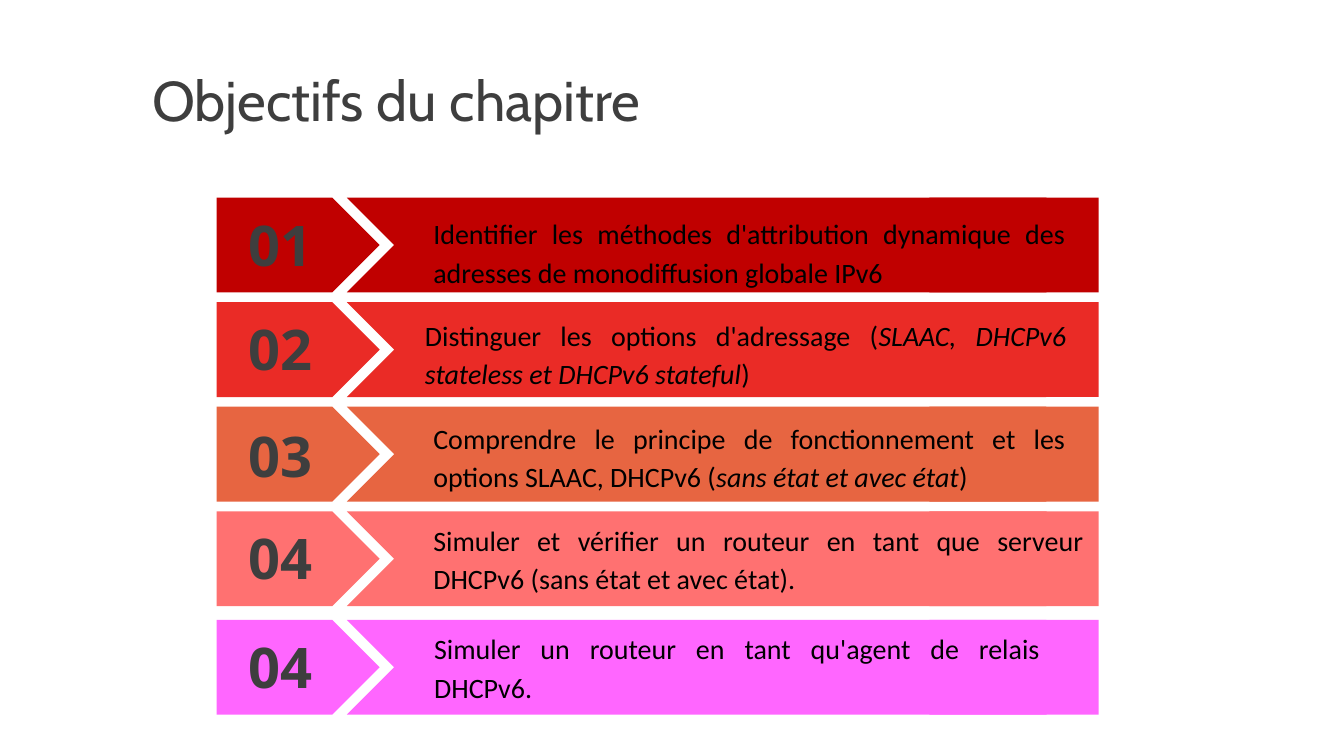
from dataclasses import dataclass

from pptx import Presentation
from pptx.dml.color import RGBColor
from pptx.enum.shapes import MSO_SHAPE as Preset
from pptx.enum.text import MSO_ANCHOR as Anchor
from pptx.enum.text import MSO_AUTO_SIZE as AutoSize
from pptx.enum.text import PP_ALIGN as Align
from pptx.util import Cm, Pt

COLORS = {
    "heading": "3E3E3E",
    "text": "000000",
    "crimson": "C00000",
    "red": "EA2B26",
    "orange": "E76541",
    "salmon": "FF7171",
    "magenta": "FF66FF",
}
BANNER_HEIGHT = 2.39
FIRST_TOP = 4.98
ROW_PITCH = 2.635
LAST_ROW_GAP = 0.1


@dataclass
class Objective:
    """Lengths are in cm; text pieces alternate between upright and italic."""
    number: str
    color: str
    number_top: float
    text_left: float
    text_top: float
    text_width: float
    pieces: tuple


OBJECTIVES = [
    Objective("01", "crimson", 5.18, 10.67, 5.21, 16.43, (
        "Identifier les méthodes d'attribution dynamique des "
        "adresses de monodiffusion globale IPv6",)),
    Objective("02", "red", 7.8, 10.46, 7.77, 16.66, (
        "Distinguer les options d'adressage (",
        "SLAAC, DHCPv6 stateless et DHCPv6 stateful", ")")),
    Objective("03", "orange", 10.49, 10.67, 10.36, 16.43, (
        "Comprendre le principe de fonctionnement et les "
        "options SLAAC, DHCPv6 (", "sans état et avec état", ")")),
    Objective("04", "salmon", 13.08, 10.67, 12.93, 16.89, (
        "Simuler et vérifier un routeur en tant que serveur "
        "DHCPv6 (sans état et avec état).",)),
    Objective("04", "magenta", 15.82, 10.69, 15.67, 15.77, (
        "Simuler un routeur en tant qu'agent de relais DHCPv6.",)),
]


def rgb(name):
    return RGBColor.from_string(COLORS[name])


def set_font(paragraph, name, size, color, bold=False):
    font = paragraph.font
    font.name, font.size, font.bold = name, Pt(size), bold
    font.color.rgb = rgb(color)


def add_title(slide, text):
    title = slide.shapes.title
    title.left, title.top = Cm(3.58), Cm(1.02)
    title.width, title.height = Cm(22.86), Cm(3.18)
    frame = title.text_frame
    frame.text = text
    frame.auto_size = AutoSize.NONE
    frame.vertical_anchor = Anchor.MIDDLE
    paragraph = frame.paragraphs[0]
    paragraph.alignment = Align.LEFT
    paragraph.line_spacing = 0.9
    set_font(paragraph, "Cabin", 40, "heading")


def add_block(shapes, preset, left, top, width, color):
    block = shapes.add_shape(preset, Cm(left), Cm(top), Cm(width), Cm(BANNER_HEIGHT))
    block.shadow.inherit = False
    block.fill.solid()
    block.fill.fore_color.rgb = rgb(color)
    block.line.fill.background()


def add_banner(slide, top, color):
    """Pentagon for the number, then a chevron squared off at its right end."""
    add_block(slide.shapes, Preset.PENTAGON, 5.46, top, 4.11, color)
    ribbon = slide.shapes.add_group_shape()
    add_block(ribbon.shapes, Preset.CHEVRON, 8.74, top, 18.82, color)
    add_block(ribbon.shapes, Preset.RECTANGLE, 23.42, top, 4.27, color)


def add_text_box(slide, left, top, width, height):
    """Return the first paragraph of a new wrapping text box."""
    box = slide.shapes.add_textbox(Cm(left), Cm(top), Cm(width), Cm(height))
    frame = box.text_frame
    frame.word_wrap = True
    frame.auto_size = AutoSize.SHAPE_TO_FIT_TEXT
    return frame.paragraphs[0]


def add_number(slide, objective):
    paragraph = add_text_box(slide, 5.65, objective.number_top, 2.82, 1.96)
    paragraph.text = objective.number
    paragraph.alignment = Align.CENTER
    set_font(paragraph, "Open Sans", 40, "heading", bold=True)


def add_description(slide, objective):
    paragraph = add_text_box(slide, objective.text_left, objective.text_top,
                             objective.text_width, 2.16)
    paragraph.alignment = Align.JUSTIFY
    paragraph.line_spacing = 1.15
    paragraph.space_after = Pt(10)
    set_font(paragraph, "Calibri", 20, "text")
    for index, piece in enumerate(objective.pieces):
        run = paragraph.add_run()
        run.text = piece
        run.font.italic = index % 2 == 1


def main():
    presentation = Presentation()
    presentation.slide_width, presentation.slide_height = Cm(33.87), Cm(19.05)
    slide = presentation.slides.add_slide(presentation.slide_layouts[5])
    add_title(slide, "Objectifs du chapitre")
    for row, objective in enumerate(OBJECTIVES):
        top = FIRST_TOP + row * ROW_PITCH
        if objective is OBJECTIVES[-1]:
            top += LAST_ROW_GAP
        add_banner(slide, top, objective.color)
        add_number(slide, objective)
        add_description(slide, objective)
    presentation.save("out.pptx")


if __name__ == "__main__":
    main()
